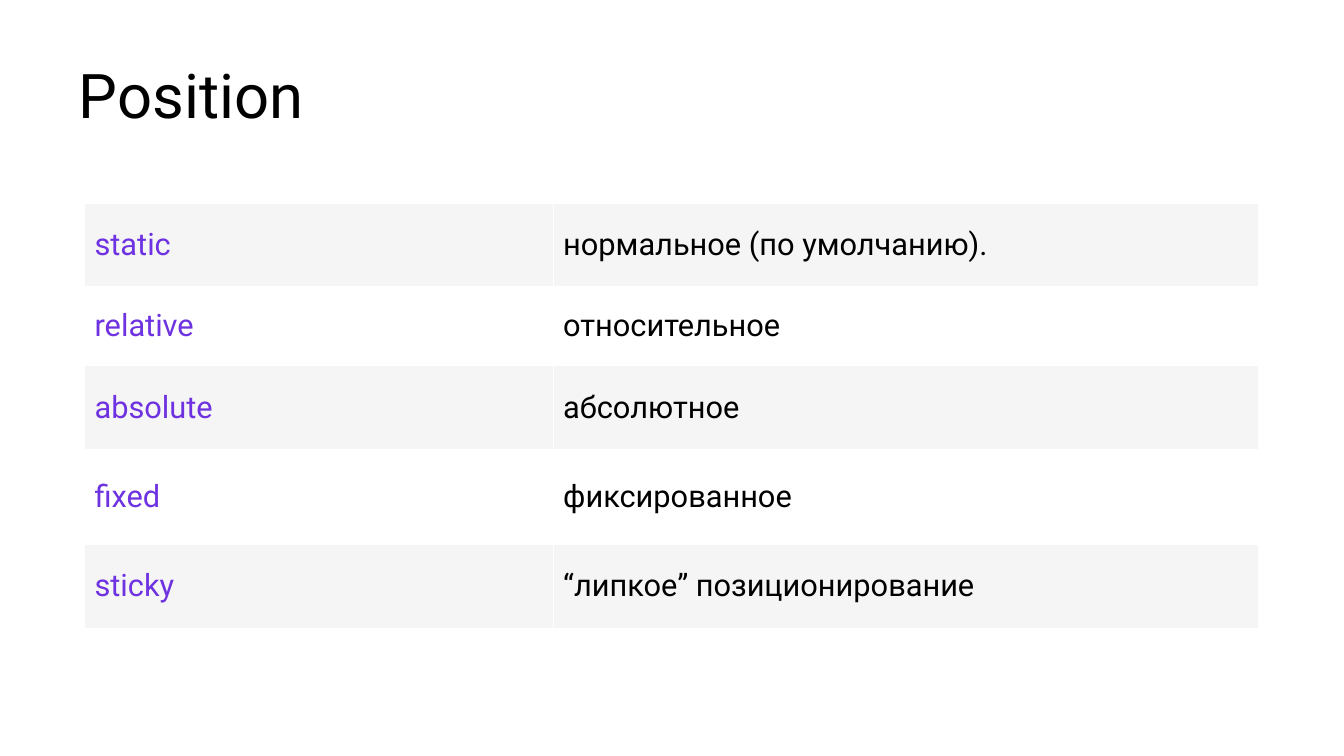
from dataclasses import dataclass
from pptx import Presentation
from pptx.dml.color import RGBColor as RGB
from pptx.enum.text import MSO_ANCHOR as Anchor
from pptx.util import Cm, Pt


@dataclass(frozen=True)
class Theme:
    font: str = "Roboto"
    title_size: int = 44
    cell_size: int = 22
    ink: str = "000000"
    accent: str = "6E32E0"
    bands: tuple = ("F5F5F5", "FFFFFF")


def style_run(r, size, color):
    r.font.name = theme.font
    r.font.size = Pt(size)
    r.font.bold = False
    r.font.color.rgb = RGB.from_string(color)


theme = Theme()
positions = [
    ("static", "нормальное (по умолчанию)."),
    ("relative", "относительное"),
    ("absolute", "абсолютное"),
    ("fixed", "фиксированное"),
    ("sticky", "“липкое” позиционирование"),
]
col_widths = [11.81, 17.78]
row_heights = [2.08, 2.01, 2.11, 2.39, 2.11]

prs = Presentation()
prs.slide_width, prs.slide_height = Cm(33.87), Cm(19.05)
slide = prs.slides.add_slide(prs.slide_layouts[5])

title = slide.shapes.title
title.left, title.top, title.width, title.height = Cm(1.73), Cm(1.27), Cm(30.02), Cm(2.18)
tf = title.text_frame
tf.text = "Position"
tf.vertical_anchor = Anchor.BOTTOM
p = tf.paragraphs[0]
p.alignment = 1
p.line_spacing = 0.9
style_run(p.runs[0], theme.title_size, theme.ink)

table = slide.shapes.add_table(
    len(positions), len(col_widths), Cm(2.13), Cm(5.13),
    Cm(sum(col_widths)), Cm(sum(row_heights))).table
for column, width in zip(table.columns, col_widths):
    column.width = Cm(width)

for i, (row, height, texts) in enumerate(zip(table.rows, row_heights, positions)):
    row.height = Cm(height)
    for cell, text, color in zip(row.cells, texts, (theme.accent, theme.ink)):
        cell.text_frame.text = text
        cell.vertical_anchor = Anchor.MIDDLE
        cell.fill.solid()
        cell.fill.fore_color.rgb = RGB.from_string(theme.bands[i % 2])
        style_run(cell.text_frame.paragraphs[0].runs[0], theme.cell_size, color)

prs.save("out.pptx")
